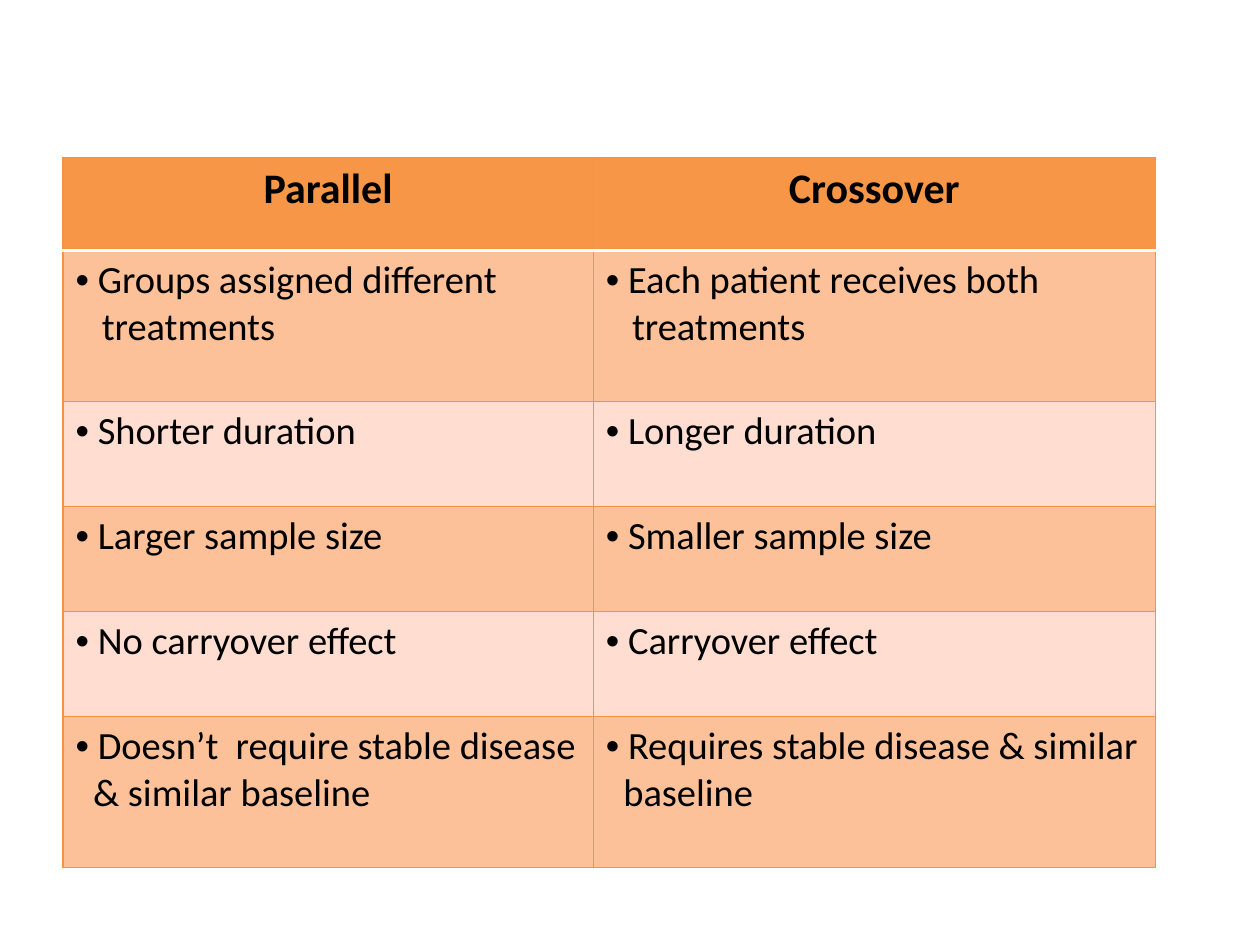
"""Build a slide comparing parallel and crossover study designs in a table."""
from dataclasses import dataclass

from lxml.etree import SubElement
from pptx import Presentation
from pptx.dml.color import RGBColor
from pptx.enum.text import PP_ALIGN
from pptx.oxml import parse_xml
from pptx.oxml.ns import nsdecls, qn
from pptx.util import Pt

ORANGE = RGBColor(0xF7, 0x96, 0x46)
DARK_BAND = RGBColor(0xFC, 0xC1, 0x99)
LIGHT_BAND = RGBColor(0xFF, 0xDD, 0xD0)
BORDER = RGBColor(0xF6, 0x92, 0x40)
WHITE = RGBColor(0xFF, 0xFF, 0xFF)
BLACK = RGBColor(0x00, 0x00, 0x00)
FONT = "Calibri"
BULLET_INDENT = Pt(12.7)
COLUMN_WIDTHS = (Pt(303), Pt(321.2))
HEADER_HEIGHT = Pt(53.3)


@dataclass(frozen=True)
class Comparison:
    """One table row: the lines of each design and the row's layout."""

    parallel: tuple[str, ...]
    crossover: tuple[str, ...]
    height: int = Pt(60)
    continuation_indent: int = Pt(0)


HEADINGS = ("Parallel", "Crossover")
COMPARISONS = (
    Comparison(
        ("Groups assigned different", "treatments"),
        ("Each patient receives both", "treatments"),
        Pt(86.3),
        Pt(15),
    ),
    Comparison(("Shorter duration",), ("Longer duration",)),
    Comparison(("Larger sample size",), ("Smaller sample size",)),
    Comparison(("No carryover effect",), ("Carryover effect",)),
    Comparison(
        ("Doesn’t  require stable disease", "& similar baseline"),
        ("Requires stable disease & similar", "baseline"),
        Pt(86.3),
        Pt(10),
    ),
)


def write_text(paragraph, text: str, *, size: float, bold: bool = False,
               alignment=PP_ALIGN.LEFT, indent: int = 0, bullet: bool = False) -> None:
    """Write one formatted line, with a hanging bullet if asked."""
    paragraph.alignment = alignment
    run = paragraph.add_run()
    run.text = text
    run.font.name = FONT
    run.font.size = Pt(size)
    run.font.bold = bold
    run.font.color.rgb = BLACK
    properties = paragraph._p.get_or_add_pPr()
    properties.set("marL", str(indent))
    properties.set("indent", str(-indent if bullet else 0))
    if bullet:
        SubElement(properties, qn("a:buFont")).set("typeface", "Arial")
        SubElement(properties, qn("a:buChar")).set("char", "•")


def style_cell(cell, fill: RGBColor, *, top: tuple = (BORDER, 0.75),
               bottom: tuple = (BORDER, 0.75)) -> None:
    """Fill a cell and draw its four borders."""
    cell.fill.solid()
    cell.fill.fore_color.rgb = fill
    side = (BORDER, 0.75)
    borders = (("lnL", side), ("lnR", side), ("lnT", top), ("lnB", bottom))
    properties = cell._tc.get_or_add_tcPr()
    for position, (tag, (color, width)) in enumerate(borders):
        properties.insert(position, parse_xml(
            f'<a:{tag} {nsdecls("a")} w="{Pt(width)}"><a:solidFill>'
            f'<a:srgbClr val="{color}"/></a:solidFill></a:{tag}>'))


def write_lines(cell, lines: tuple[str, ...], continuation_indent: int) -> None:
    """Write a bulleted first line and its indented continuation."""
    for index, line in enumerate(lines):
        first = index == 0
        frame = cell.text_frame
        paragraph = frame.paragraphs[0] if first else frame.add_paragraph()
        write_text(paragraph, line, size=22, bullet=first,
                   indent=BULLET_INDENT if first else continuation_indent)


def add_comparison_table(slide) -> None:
    """Add the table with its header and banded rows."""
    heights = (HEADER_HEIGHT, *(row.height for row in COMPARISONS))
    table = slide.shapes.add_table(
        len(heights), len(COLUMN_WIDTHS), Pt(36), Pt(90),
        sum(COLUMN_WIDTHS), sum(heights)).table
    table.first_row = True
    table.horz_banding = False
    for column, width in zip(table.columns, COLUMN_WIDTHS):
        column.width = width
    for row, height in zip(table.rows, heights):
        row.height = height

    divider = (WHITE, 2)
    for column, heading in enumerate(HEADINGS):
        cell = table.cell(0, column)
        style_cell(cell, ORANGE, bottom=divider)
        write_text(cell.text_frame.paragraphs[0], heading, size=24, bold=True,
                   alignment=PP_ALIGN.CENTER)

    for row, comparison in enumerate(COMPARISONS, start=1):
        fill = DARK_BAND if row % 2 else LIGHT_BAND
        top = divider if row == 1 else (BORDER, 0.75)
        for column, lines in enumerate((comparison.parallel, comparison.crossover)):
            cell = table.cell(row, column)
            style_cell(cell, fill, top=top)
            write_lines(cell, lines, comparison.continuation_indent)


def main() -> None:
    """Create and save the presentation."""
    presentation = Presentation()
    presentation.slide_width = Pt(720)
    presentation.slide_height = Pt(540)
    slide = presentation.slides.add_slide(presentation.slide_layouts[6])
    add_comparison_table(slide)
    presentation.save("out.pptx")


if __name__ == "__main__":
    main()
